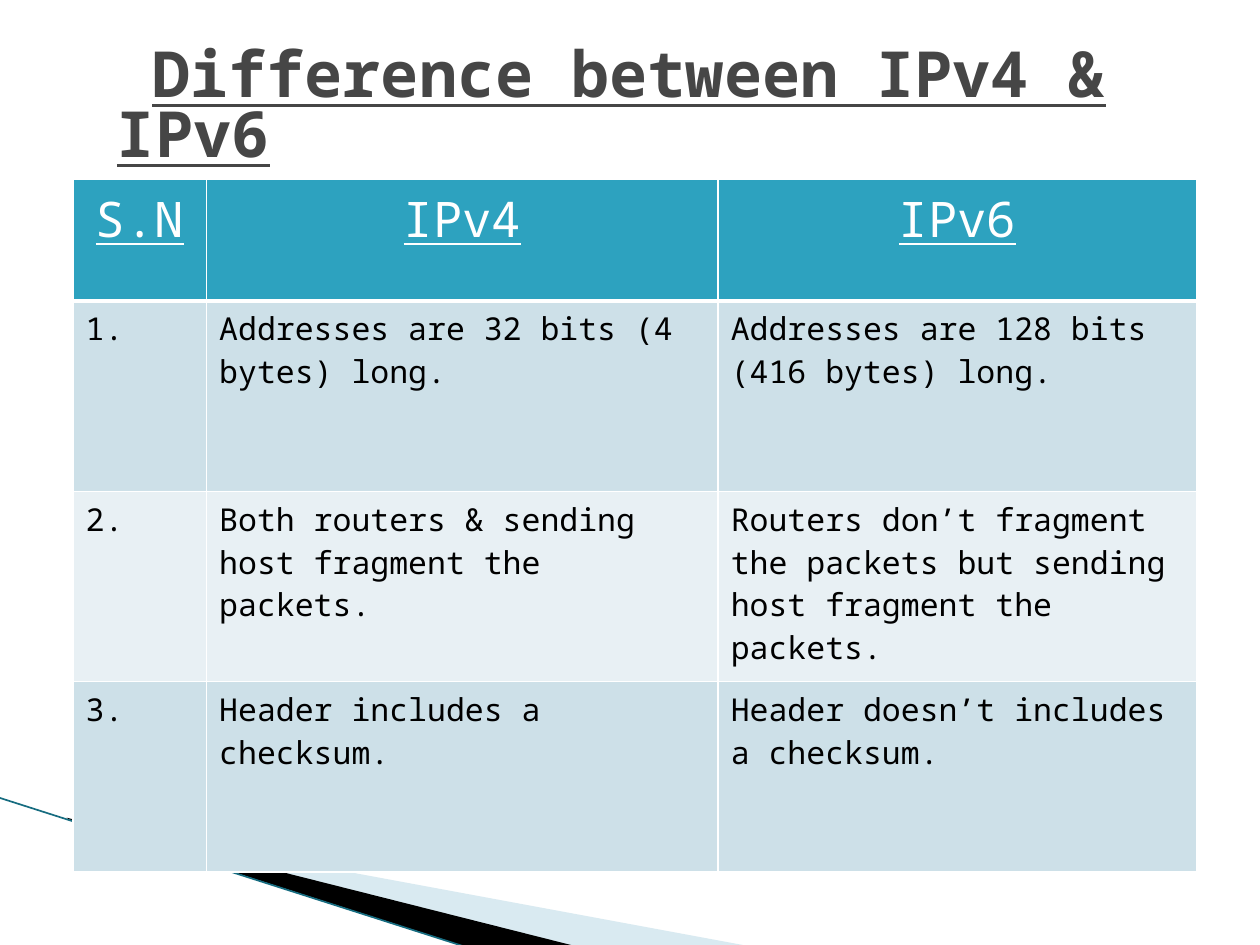
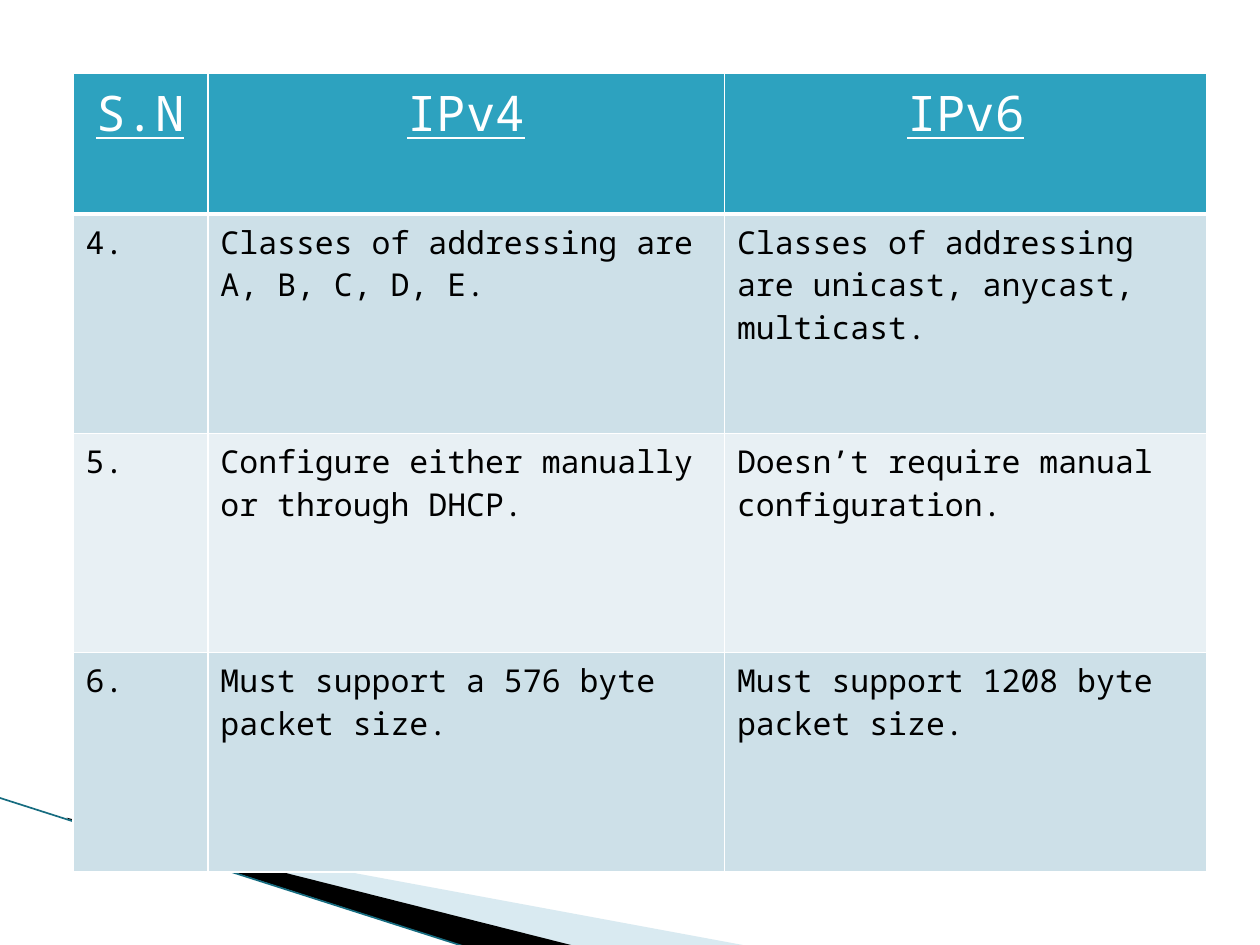
from lxml.etree import SubElement
from pptx import Presentation
from pptx.dml.color import RGBColor
from pptx.enum.shapes import MSO_CONNECTOR
from pptx.enum.text import MSO_ANCHOR, PP_ALIGN
from pptx.oxml import parse_xml
from pptx.oxml.ns import nsdecls, qn
from pptx.util import Inches, Pt

WHITE = RGBColor(0xFF, 0xFF, 0xFF)
BLACK = RGBColor(0, 0, 0)
TITLE_GRAY = RGBColor(0x46, 0x46, 0x46)
HEADER_TEAL = RGBColor(0x2D, 0xA2, 0xBF)
ROW_DARK = RGBColor(0xCD, 0xE0, 0xE8)
ROW_LIGHT = RGBColor(0xE8, 0xF0, 0xF4)
WEDGE_BLUE = RGBColor(0xA0, 0xCB, 0xDC)
EDGE_TEAL = RGBColor(0x16, 0x6C, 0x80)
FONT = "Noto Sans Mono"

HEADINGS = ("S.N", "IPv4", "IPv6")
PACKET_ROWS = [
    ("1.", "Addresses are 32 bits (4 bytes) long.",
     "Addresses are 128 bits (416 bytes) long."),
    ("2.", "Both routers & sending host fragment the packets.",
     "Routers don’t fragment the packets but sending host fragment the packets."),
    ("3.", "Header includes a checksum.",
     "Header doesn’t includes a checksum."),
]
ADDRESS_ROWS = [
    ("4.", "Classes of addressing are A, B, C, D, E.",
     "Classes of addressing are unicast, anycast, multicast."),
    ("5.", "Configure either manually or through DHCP.",
     "Doesn’t require manual configuration."),
    ("6.", "Must support a 576 byte packet size.",
     "Must support 1208 byte packet size."),
]


def style_font(font, size, color, bold=False, underline=False):
    font.name, font.size = FONT, Pt(size)
    font.bold, font.underline = bold, underline
    font.color.rgb = color


def add_wedge(s, points, color, alpha=None):
    builder = s.shapes.build_freeform(
        Inches(points[0][0]), Inches(points[0][1]))
    builder.add_line_segments([(Inches(x), Inches(y)) for x, y in points[1:]])
    sp = builder.convert_to_shape()
    sp.shadow.inherit = False
    sp.line.fill.background()
    sp.fill.solid()
    sp.fill.fore_color.rgb = color
    if alpha:
        clr = sp.fill._xPr.find(qn("a:solidFill"))[0]
        SubElement(clr, qn("a:alpha"), val=str(alpha * 1000))


def add_corner_wedges(s):
    """Pale and black wedges with a thin edge, at the lower left."""
    add_wedge(s, [(0.55, 6.51), (5.95, 7.51), (4.56, 7.51), (0.55, 6.5)],
              WEDGE_BLUE, alpha=40)
    add_wedge(s, [(0.53, 6.49), (4.57, 7.51), (3.72, 7.52), (0.54, 6.5)], BLACK)
    edge = s.shapes.add_connector(
        MSO_CONNECTOR.STRAIGHT,
        Inches(-0.01), Inches(6.33), Inches(3.71), Inches(7.52))
    edge.line.color.rgb = EDGE_TEAL
    edge.line.width = Pt(0.95)
    SubElement(edge._element.spPr, qn("a:effectLst"))


def add_title(s, text, left, top, width, height):
    tf = s.shapes.add_textbox(
        Inches(left), Inches(top), Inches(width), Inches(height)).text_frame
    tf.word_wrap = True
    tf.vertical_anchor = MSO_ANCHOR.TOP
    tf.margin_top = Inches(0.09)
    tf.text = text
    p = tf.paragraphs[0]
    p.line_spacing = 0.79
    p._p.get_or_add_pPr().set("indent", str(Inches(0.28)))
    style_font(p.runs[0].font, 36.3, TITLE_GRAY, bold=True, underline=True)


def set_borders(cell, bottom):
    """White rules on all four sides; they precede the fill in the XML."""
    tcPr = cell._tc.get_or_add_tcPr()
    for i, (side, width) in enumerate(zip("LRTB", (1, 1, 1, bottom))):
        tcPr.insert(i, parse_xml(
            f'<a:ln{side} {nsdecls("a")} w="{Pt(width)}"><a:solidFill>'
            f'<a:srgbClr val="{WHITE}"/></a:solidFill></a:ln{side}>'))


def fill_cell(cell, text, row):
    header = row == 0
    cell.fill.solid()
    cell.fill.fore_color.rgb = (
        HEADER_TEAL if header else ROW_DARK if row % 2 else ROW_LIGHT)
    set_borders(cell, bottom=3 if header else 1)
    cell.text_frame.text = text
    p = cell.text_frame.paragraphs[0]
    if header:
        p.alignment = PP_ALIGN.CENTER
    style_font(p.runs[0].font, 28 if header else 18,
               WHITE if header else BLACK, underline=header)


def add_comparison(s, body, left, top, col_widths, header_height, row_height):
    rows = [HEADINGS, *body]
    heights = [header_height] + [row_height] * len(body)
    table = s.shapes.add_table(
        len(rows), len(HEADINGS), Inches(left), Inches(top),
        Inches(sum(col_widths)), Inches(sum(heights))).table
    for column, width in zip(table.columns, col_widths):
        column.width = Inches(width)
    for r, (texts, height) in enumerate(zip(rows, heights)):
        table.rows[r].height = Inches(height)
        for c, text in enumerate(texts):
            fill_cell(table.cell(r, c), text, r)


def add_slide(prs):
    s = prs.slides.add_slide(prs.slide_layouts[6])
    add_corner_wedges(s)
    return s


def main():
    prs = Presentation()
    prs.slide_width, prs.slide_height = Inches(10), Inches(7.5)

    # Title and the first three differences
    s = add_slide(prs)
    add_title(s, "Difference between IPv4 & IPv6", 0.83, 0.3, 8.17, 1.12)
    add_comparison(s, PACKET_ROWS, 0.58, 1.42, (1.06, 4.06, 3.8), 0.97, 1.51)

    # The other three differences
    s = add_slide(prs)
    add_comparison(s, ADDRESS_ROWS, 0.58, 0.58, (1.07, 4.1, 3.83), 1.12, 1.74)

    prs.save("out.pptx")


if __name__ == "__main__":
    main()
